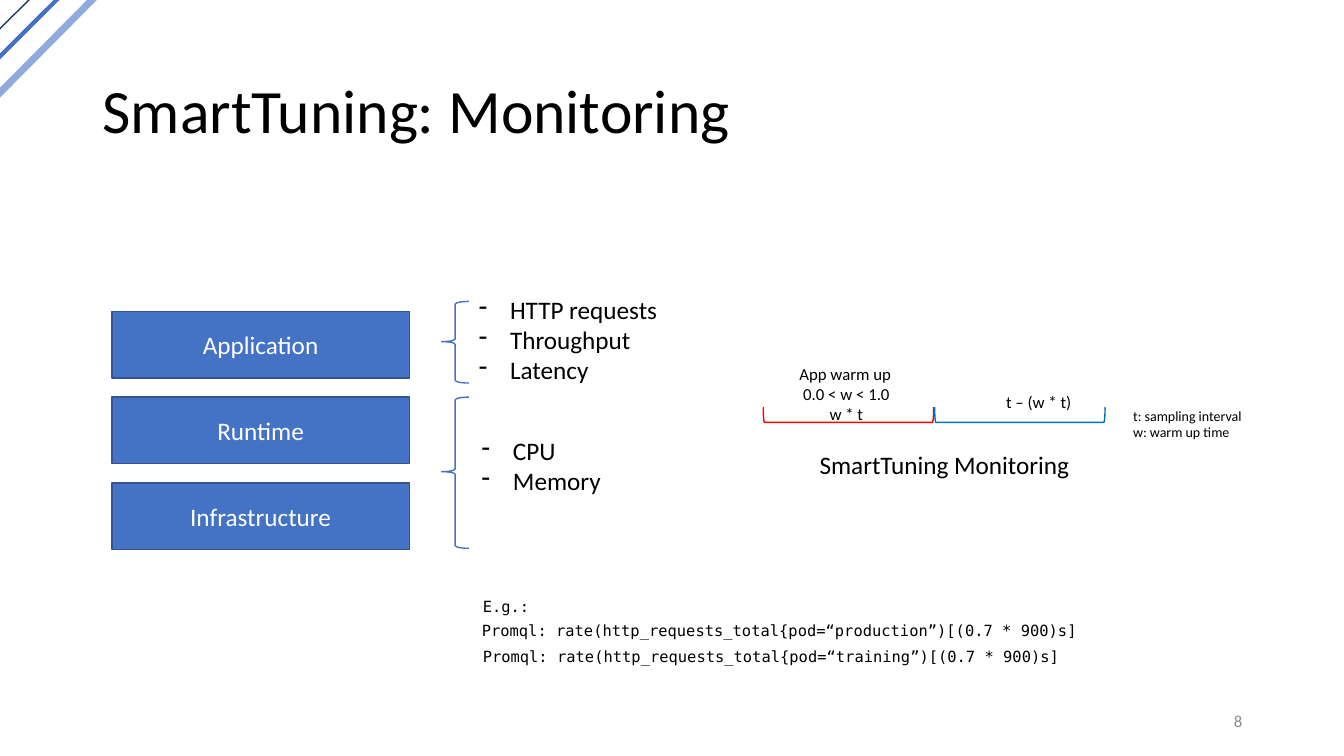
from pptx import Presentation
from pptx.dml.color import RGBColor
from pptx.enum import shapes, text
from pptx.oxml.ns import qn
from pptx.util import Inches, Pt
from lxml import etree

BLACK = RGBColor(0x00, 0x00, 0x00)
WHITE = RGBColor(0xFF, 0xFF, 0xFF)
GREY = RGBColor(0x8C, 0x8C, 0x8C)
BLUE = RGBColor(0x44, 0x72, 0xC4)
EDGE = RGBColor(0x32, 0x54, 0x91)
NAVY = RGBColor(0x20, 0x38, 0x64)
PALE = RGBColor(0x8F, 0xAA, 0xDC)
RED = RGBColor(0xFF, 0x00, 0x00)
AZURE = RGBColor(0x00, 0x70, 0xC0)
SANS, MONO = "Calibri", "DejaVu Sans Mono"
LEFT, MID, RIGHT = text.PP_ALIGN.LEFT, text.PP_ALIGN.CENTER, text.PP_ALIGN.RIGHT
FORM = shapes.MSO_SHAPE


def write(frame, lines, size, color=BLACK, font=SANS, align=LEFT):
    """Fill a text frame with one paragraph per line."""
    frame.text = "\n".join(lines)
    for par in frame.paragraphs:
        par.alignment = align
        par.font.size = Pt(size)
        par.font.name = font
        par.font.color.rgb = color


def label(slide, box, lines, size, wrap=False, middle=False, **style):
    frame = slide.shapes.add_textbox(*map(Inches, box)).text_frame
    frame.word_wrap = wrap
    if middle:
        frame.vertical_anchor = text.MSO_ANCHOR.MIDDLE
    write(frame, lines, size, **style)
    return frame


def dashes(slide, box, lines):
    """Add a list with hanging dash bullets."""
    for par in label(slide, box, lines, 18).paragraphs:
        props = par._p.get_or_add_pPr()
        props.set("marL", str(Inches(0.31)))
        props.set("indent", str(-Inches(0.31)))
        etree.SubElement(props, qn("a:buChar")).set("char", "-")


def outline(slide, kind, box, color):
    shape = slide.shapes.add_shape(kind, *map(Inches, box))
    shape.shadow.inherit = False
    shape.fill.background()
    shape.line.color.rgb = color
    shape.line.width = Pt(1)
    return shape


def layer(slide, top, name):
    """Add one filled block of the system stack."""
    block = outline(slide, FORM.RECTANGLE, (1.11, top, 2.95, 0.66), EDGE)
    block.fill.solid()
    block.fill.fore_color.rgb = BLUE
    block.text_frame.vertical_anchor = text.MSO_ANCHOR.MIDDLE
    write(block.text_frame, [name], 18, color=WHITE, align=MID)


def brace(slide, top, height):
    shape = outline(slide, FORM.LEFT_BRACE, (4.38, top, 0.27, height), BLUE)
    shape.adjustments[0] = 0.098
    shape.adjustments[1] = 0.493


def bracket(slide, left, color):
    shape = outline(slide, FORM.LEFT_BRACKET, (left, 3.27, 0.15, 1.69), color)
    shape.rotation = 270


def stripe(slide, ends, color, width):
    line = slide.shapes.add_connector(
        shapes.MSO_CONNECTOR.STRAIGHT, *map(Inches, ends))
    line.line.color.rgb = color
    line.line.width = Pt(width)
    etree.SubElement(line._element.spPr, qn("a:effectLst"))


def main():
    deck = Presentation()
    deck.slide_width, deck.slide_height = Inches(13.33), Inches(7.5)
    slide = deck.slides.add_slide(deck.slide_layouts[6])

    # Corner stripes
    stripe(slide, (-0.25, 0.53, 0.52, -0.23), NAVY, 1)
    stripe(slide, (-0.16, 0.72, 0.65, -0.09), BLUE, 3)
    stripe(slide, (-0.11, 1.03, 1.03, -0.12), PALE, 5)

    # Title and page number
    title = label(slide, (0.92, 0.4, 11.5, 1.45), ["SmartTuning: Monitoring"],
                  44, wrap=True, middle=True)
    title.paragraphs[0].line_spacing = 0.9
    label(slide, (9.42, 6.95, 3, 0.4), ["8"], 12, wrap=True, middle=True,
          color=GREY, align=RIGHT)

    # System stack
    for row, name in enumerate(("Application", "Runtime", "Infrastructure")):
        layer(slide, 3.09 + 0.85 * row, name)

    # Metrics of the layers
    brace(slide, 2.99, 0.81)
    dashes(slide, (4.65, 2.87, 1.99, 1.01),
           ["HTTP requests", "Throughput", "Latency"])
    brace(slide, 3.94, 1.5)
    dashes(slide, (4.68, 4.27, 1.4, 0.71), ["CPU", "Memory"])

    # Sampling timeline
    bracket(slide, 8.34, RED)
    bracket(slide, 10.04, AZURE)
    label(slide, (7.83, 3.56, 1.12, 0.3), ["App warm up"], 12)
    label(slide, (7.86, 3.76, 1.07, 0.5), ["0.0 < w < 1.0", "w * t"], 12,
          align=MID)
    label(slide, (9.88, 3.84, 0.86, 0.3), ["t – (w * t)"], 12)
    label(slide, (8.03, 4.41, 2.71, 0.4), ["SmartTuning Monitoring"], 18)
    label(slide, (11.14, 3.99, 1.29, 0.44),
          ["t: sampling interval", "w: warm up time"], 10)

    # Example queries
    label(slide, (4.69, 5.87, 0.67, 0.29), ["E.g.:"], 11, font=MONO)
    for left, top, width, pod in ((4.68, 6.11, 6.15, "production"),
                                  (4.69, 6.37, 5.96, "training")):
        query = f"Promql: rate(http_requests_total{{pod=“{pod}”)[(0.7 * 900)s]"
        label(slide, (left, top, width, 0.29), [query], 11, font=MONO)

    deck.save("out.pptx")


if __name__ == "__main__":
    main()
